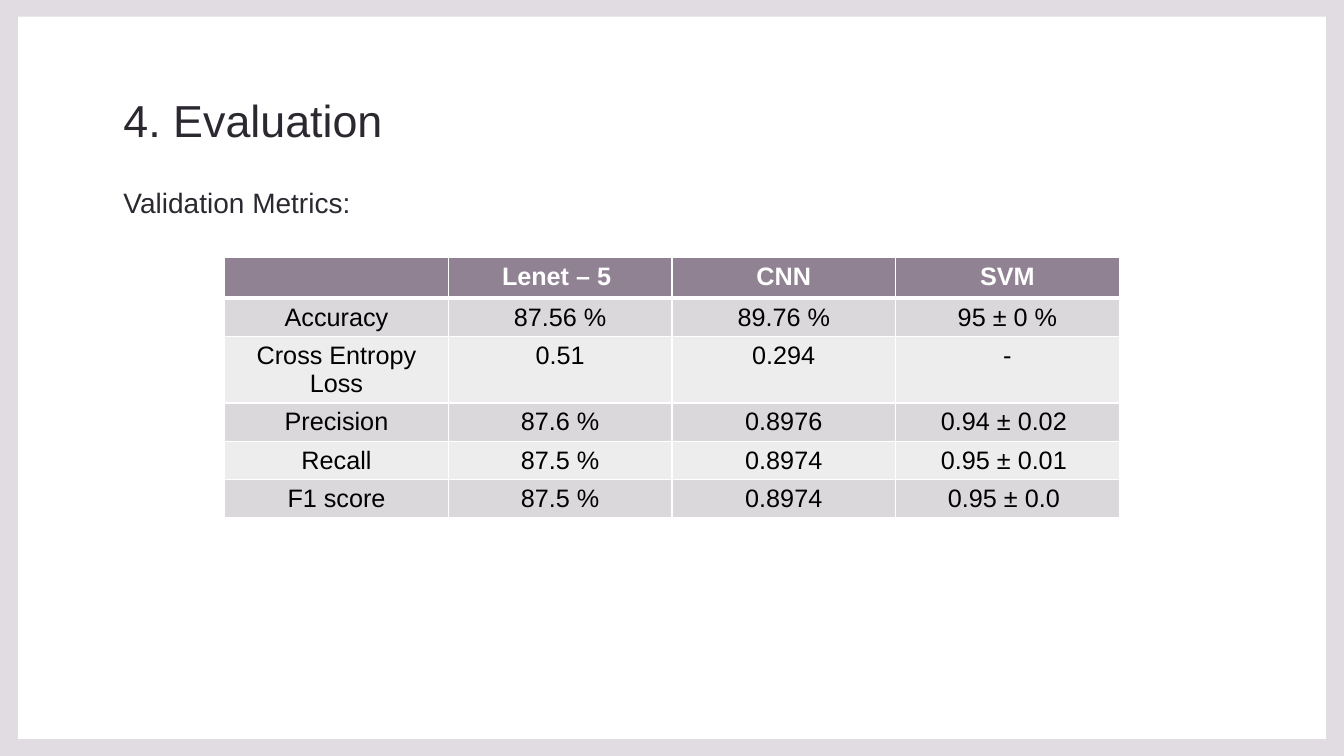
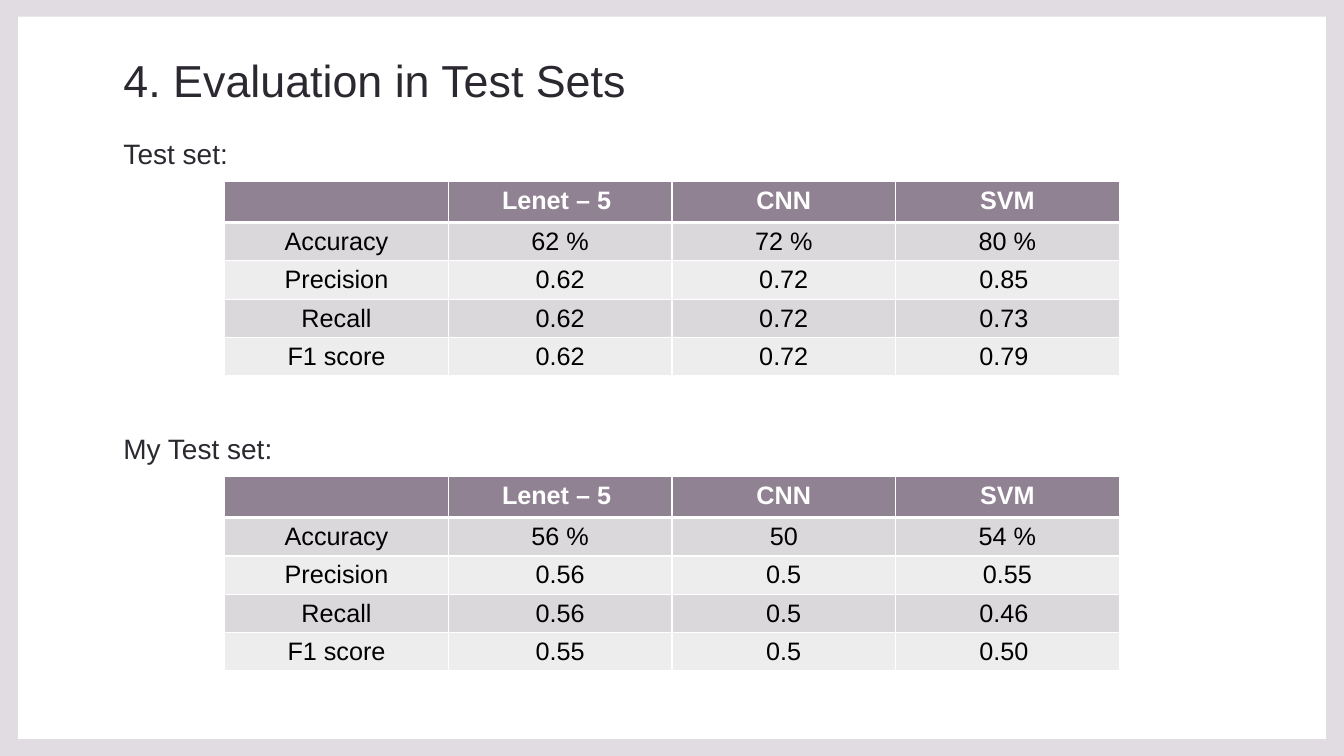
import dataclasses

import lxml.etree
import pptx
import pptx.dml.color
import pptx.enum.text
import pptx.oxml.ns
import pptx.util

PX = 9525  # EMU in one px (96 px to the inch)
LEFT, TEXT_WIDTH = 108, 1064
TITLE_HEIGHT, LABEL_HEIGHT = 68, 51
TABLE_LEFT, COLUMN_WIDTH, ROW_HEIGHT = 214, 213, 31
ALIGN = pptx.enum.text.PP_ALIGN
ANCHOR = pptx.enum.text.MSO_ANCHOR


@dataclasses.dataclass(frozen=True)
class Theme:
    font: str = "Arial"
    ink: str = "2C2830"
    frame: str = "E0DCE1"
    header: str = "908193"
    bands: tuple = ("DBD8DC", "EEEDEE")
    white: str = "FFFFFF"
    cell_ink: str = "000000"
    title_size: int = 32
    label_size: int = 20
    cell_size: int = 18
    thin_line: int = 1
    thick_line: int = 3


THEME = Theme()
HEADINGS = ("", "Lenet – 5 ", "CNN", "SVM")
VALIDATION = (
    HEADINGS,
    ("Accuracy", "87.56 %", "89.76 %", "95 ± 0 %"),
    ("Cross Entropy Loss", "0.51", "0.294", "-"),
    ("Precision", "87.6 %", "0.8976", "0.94 ± 0.02 "),
    ("Recall", "87.5 %", "0.8974", "0.95 ± 0.01 "),
    ("F1 score", "87.5 %", "0.8974", "0.95 ± 0.0 "),
)
TEST_SET = (
    HEADINGS,
    ("Accuracy", "62 %", "72 %", "80 %"),
    ("Precision", "0.62", "0.72", "0.85 "),
    ("Recall", "0.62", "0.72", "0.73 "),
    ("F1 score", "0.62", "0.72", "0.79 "),
)
MY_TEST_SET = (
    HEADINGS,
    ("Accuracy", "56 %", "50", "54 %"),
    ("Precision", "0.56", "0.5", "0.55"),
    ("Recall", "0.56", "0.5", "0.46 "),
    ("F1 score", "0.55", "0.5", "0.50 "),
)


def px(*lengths):
    return [pptx.util.Emu(length * PX) for length in lengths]


def rgb(value):
    return pptx.dml.color.RGBColor.from_string(value)


# Text
def format_spans(para, size, color, bold=False):
    for span in para.runs:
        span.font.name = THEME.font
        span.font.size = pptx.util.Pt(size)
        span.font.bold = bold
        span.font.color.rgb = rgb(color)


def write_line(box, text, top, height, size, anchor=ANCHOR.TOP):
    box.left, box.top, box.width, box.height = px(LEFT, top, TEXT_WIDTH, height)
    frame = box.text_frame
    frame.text = text
    frame.word_wrap = True
    frame.auto_size = pptx.enum.text.MSO_AUTO_SIZE.NONE
    frame.vertical_anchor = anchor
    para = frame.paragraphs[0]
    para.alignment = ALIGN.LEFT
    para.line_spacing = 1.1
    para.space_before = pptx.util.Pt(0)
    format_spans(para, size, THEME.ink)
    return para


def add_page(deck, title, title_top, label, label_top):
    page = deck.slides.add_slide(deck.slide_layouts[1])
    write_line(page.shapes.title, title, title_top, TITLE_HEIGHT,
               THEME.title_size, ANCHOR.BOTTOM)
    para = write_line(page.placeholders[1], label, label_top, LABEL_HEIGHT,
                      THEME.label_size)
    properties = para._p.get_or_add_pPr()
    properties.set("marL", "0")
    properties.set("indent", "0")
    lxml.etree.SubElement(properties, pptx.oxml.ns.qn("a:buNone"))
    return page


def add_label(page, text, top):
    box = page.shapes.add_textbox(*px(LEFT, top, TEXT_WIDTH, LABEL_HEIGHT))
    write_line(box, text, top, LABEL_HEIGHT, THEME.label_size)


# Border on the master, shared by every page
def add_frame(deck, page):
    builder = page.shapes.build_freeform(0, 0, scale=PX)
    builder.add_line_segments([(1280, 0), (1280, 720), (0, 720)], close=True)
    builder.move_to(17, 16)
    builder.add_line_segments([(17, 704), (1263, 704), (1263, 16)], close=True)
    border = builder.convert_to_shape()
    border.shadow.inherit = False
    border.fill.solid()
    border.fill.fore_color.rgb = rgb(THEME.frame)
    border.line.fill.background()
    border.element.nvSpPr.cNvPr.id = 20
    deck.slide_master.element.cSld.spTree.insert(2, border.element)


# Tables
def set_borders(cell, top, bottom):
    properties = cell._tc.get_or_add_tcPr()
    widths = {"lnL": THEME.thin_line, "lnR": THEME.thin_line, "lnT": top, "lnB": bottom}
    for index, (side, width) in enumerate(widths.items()):
        line = lxml.etree.Element(pptx.oxml.ns.qn("a:" + side),
                                  w=str(pptx.util.Pt(width)))
        fill = lxml.etree.SubElement(line, pptx.oxml.ns.qn("a:solidFill"))
        lxml.etree.SubElement(fill, pptx.oxml.ns.qn("a:srgbClr"), val=THEME.white)
        properties.insert(index, line)


def fill_cell(cell, text, row):
    is_header = row == 0
    cell.text = text
    para = cell.text_frame.paragraphs[0]
    para.alignment = ALIGN.CENTER
    format_spans(para, THEME.cell_size,
                 THEME.white if is_header else THEME.cell_ink, is_header)
    cell.fill.solid()
    cell.fill.fore_color.rgb = rgb(
        THEME.header if is_header else THEME.bands[(row - 1) % 2])
    set_borders(cell,
                top=THEME.thick_line if row == 1 else THEME.thin_line,
                bottom=THEME.thick_line if is_header else THEME.thin_line)


def add_metrics(page, rows, top):
    columns = len(rows[0])
    size = px(TABLE_LEFT, top, COLUMN_WIDTH * columns, ROW_HEIGHT * len(rows))
    table = page.shapes.add_table(len(rows), columns, *size).table
    for row, texts in enumerate(rows):
        for column, text in enumerate(texts):
            fill_cell(table.cell(row, column), text, row)


def main():
    deck = pptx.Presentation()
    deck.slide_width, deck.slide_height = px(1280, 720)

    # Validation
    page = add_page(deck, "4. Evaluation", 76, "Validation Metrics:", 169)
    add_frame(deck, page)
    add_metrics(page, VALIDATION, 245)

    # Test sets
    page = add_page(deck, "4. Evaluation in Test Sets", 38, "Test set:", 122)
    add_metrics(page, TEST_SET, 173)
    add_metrics(page, MY_TEST_SET, 454)
    add_label(page, "My Test set:", 403)

    deck.save("out.pptx")


if __name__ == "__main__":
    main()
